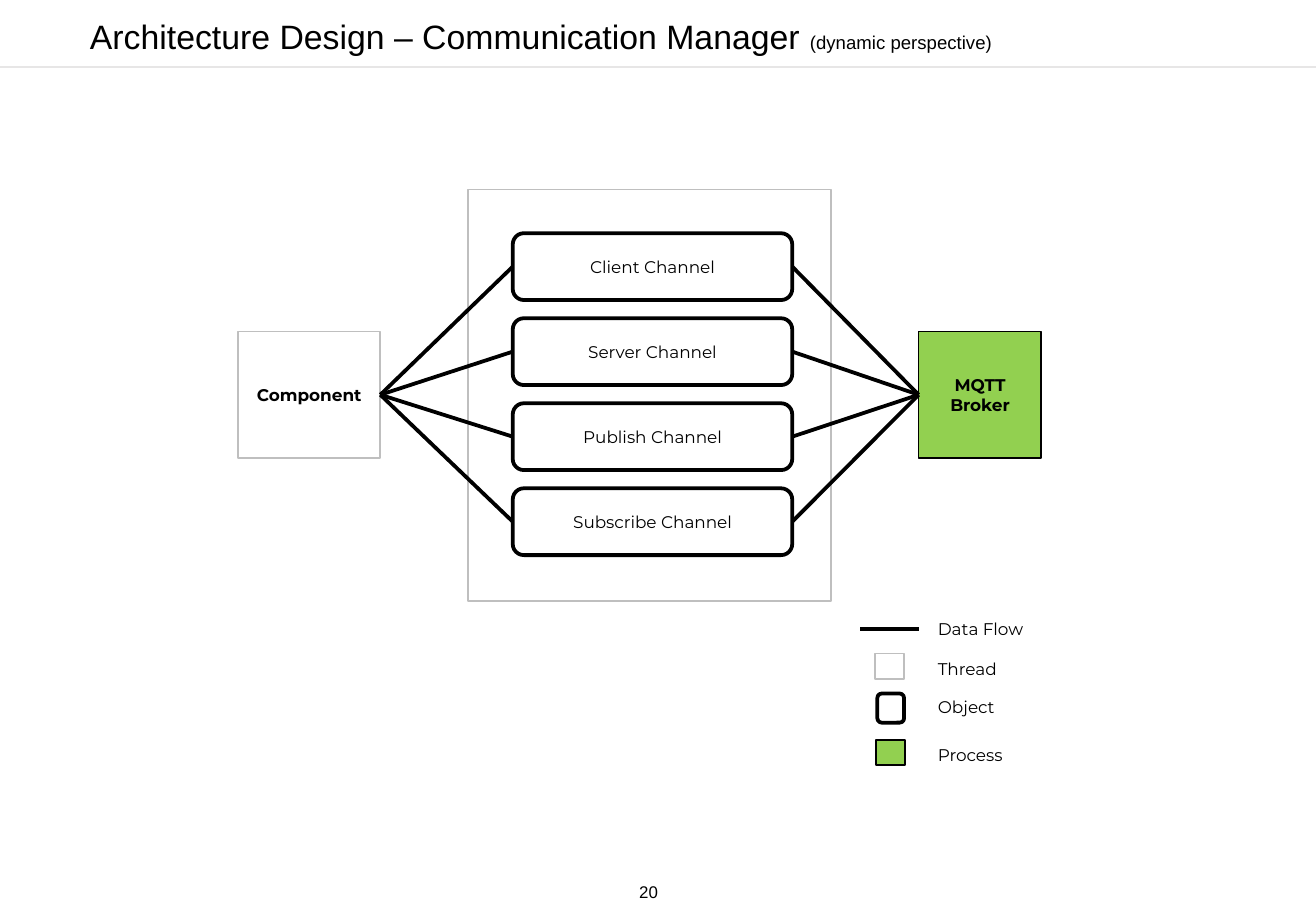
from dataclasses import dataclass

from lxml.etree import SubElement
from pptx import Presentation
from pptx.dml.color import RGBColor
from pptx.enum.shapes import MSO_CONNECTOR, MSO_SHAPE
from pptx.enum.text import MSO_ANCHOR, MSO_AUTO_SIZE, PP_ALIGN
from pptx.oxml.ns import qn
from pptx.shapes.autoshape import Shape
from pptx.shapes.connector import Connector
from pptx.slide import Slide
from pptx.text.text import TextFrame
from pptx.util import Inches, Pt

BLACK = RGBColor(0x00, 0x00, 0x00)
THREAD_GRAY = RGBColor(0xBF, 0xBF, 0xBF)
RULE_GRAY = RGBColor(0xE7, 0xE6, 0xE6)
PROCESS_GREEN = RGBColor(0x92, 0xD0, 0x50)
LEFT_SITE, RIGHT_SITE = 1, 3


@dataclass(frozen=True)
class Style:
    """Look of one kind of architecture element."""
    outline: RGBColor
    weight: float
    geometry: MSO_SHAPE = MSO_SHAPE.RECTANGLE
    fill: RGBColor | None = None


@dataclass(frozen=True)
class Box:
    """Position and size in inches."""
    left: float
    top: float
    width: float
    height: float

    def lengths(self) -> list[Inches]:
        """Give the four lengths in the order that python-pptx expects."""
        return [Inches(n) for n in (self.left, self.top, self.width, self.height)]


@dataclass(frozen=True)
class LegendEntry:
    """Legend caption with its box and, for shapes, its symbol."""
    caption: str
    place: Box
    symbol: Box | None = None
    style: Style | None = None


THREAD = Style(THREAD_GRAY, 1)
OBJECT = Style(BLACK, 2.25, MSO_SHAPE.ROUNDED_RECTANGLE)
PROCESS = Style(BLACK, 1, fill=PROCESS_GREEN)

CHANNELS = ["Client Channel", "Server Channel", "Publish Channel", "Subscribe Channel"]
CHANNEL_TOP, CHANNEL_PITCH = 1.92, 0.7
LEGEND = [
    LegendEntry("Data Flow", Box(7.62, 5.04, 0.97, 0.27)),
    LegendEntry("Thread", Box(7.62, 5.37, 0.74, 0.27), Box(7.2, 5.38, 0.24, 0.21), THREAD),
    LegendEntry("Object", Box(7.62, 5.69, 0.71, 0.27), Box(7.22, 5.71, 0.22, 0.24), OBJECT),
    LegendEntry("Process", Box(7.62, 6.08, 0.82, 0.27), Box(7.21, 6.09, 0.24, 0.21), PROCESS),
]


def write(frame: TextFrame, lines: list[list[tuple[str, float]]], font: str = "Montserrat",
          bold: bool = False, align: PP_ALIGN = PP_ALIGN.LEFT) -> None:
    """Write each line as a paragraph of sized runs."""
    for index, pieces in enumerate(lines):
        paragraph = frame.add_paragraph() if index else frame.paragraphs[0]
        paragraph.alignment = align
        for wording, size in pieces:
            run = paragraph.add_run()
            run.text = wording
            run.font.name = font
            run.font.size = Pt(size)
            run.font.bold = bold
            run.font.color.rgb = BLACK


def add_element(slide: Slide, box: Box, style: Style, lines: tuple[str, ...] = (),
                bold: bool = False) -> Shape:
    """Draw a thread, object or process with its centred label."""
    element = slide.shapes.add_shape(style.geometry, *box.lengths())
    element.shadow.inherit = False
    if style.fill is None:
        element.fill.background()
    else:
        element.fill.solid()
        element.fill.fore_color.rgb = style.fill
    element.line.color.rgb = style.outline
    element.line.width = Pt(style.weight)
    element.text_frame.vertical_anchor = MSO_ANCHOR.MIDDLE
    write(element.text_frame, [[(line, 10)] for line in lines], bold=bold, align=PP_ALIGN.CENTER)
    return element


def add_line(slide: Slide, start: tuple[float, float] = (0, 0), end: tuple[float, float] = (0, 0),
             color: RGBColor = BLACK, weight: float = 2.25) -> Connector:
    """Draw a straight line without a shadow."""
    line = slide.shapes.add_connector(
        MSO_CONNECTOR.STRAIGHT, *(Inches(n) for n in (*start, *end)))
    line.line.color.rgb = color
    line.line.width = Pt(weight)
    SubElement(line._element.spPr, qn("a:effectLst"))
    return line


def add_flow(slide: Slide, source: Shape, target: Shape) -> None:
    """Join the right side of the source to the left side of the target."""
    flow = add_line(slide)
    flow.begin_connect(source, RIGHT_SITE)
    flow.end_connect(target, LEFT_SITE)


def add_caption(slide: Slide, box: Box, wording: str, font: str = "Montserrat") -> TextFrame:
    """Add a one-line text box that fits its text."""
    frame = slide.shapes.add_textbox(*box.lengths()).text_frame
    frame.word_wrap = False
    frame.auto_size = MSO_AUTO_SIZE.SHAPE_TO_FIT_TEXT
    write(frame, [[(wording, 10)]], font)
    return frame


def add_header_and_number(slide: Slide) -> None:
    """Add the title, the rule below it and the page number."""
    add_line(slide, (0, 0.55), (10.83, 0.55), RULE_GRAY, 1)
    title = slide.shapes.add_textbox(*Box(0.14, 0.05, 10.47, 0.5).lengths()).text_frame
    title.word_wrap = True
    title.margin_left = Inches(0.6)
    title.margin_top = Inches(0.08)
    write(title, [[("Architecture Design – Communication Manager ", 20),
                   ("(dynamic perspective)", 11)]], "Arial")
    number = add_caption(slide, Box(5.22, 7.22, 0.25, 0.25), "20", "Arial")
    number.margin_left = number.margin_right = Inches(0.04)
    number.margin_top = number.margin_bottom = Inches(0.04)


def add_architecture(slide: Slide) -> None:
    """Draw the component, its channels and the broker with their data flows."""
    add_element(slide, Box(3.85, 1.56, 2.99, 3.39), THREAD)
    component = add_element(slide, Box(1.96, 2.73, 1.17, 1.04), THREAD, ("Component",), True)
    broker = add_element(slide, Box(7.56, 2.73, 1.01, 1.04), PROCESS, ("MQTT", "Broker"), True)
    for index, name in enumerate(CHANNELS):
        place = Box(4.22, CHANNEL_TOP + index * CHANNEL_PITCH, 2.3, 0.55)
        channel = add_element(slide, place, OBJECT, (name,))
        add_flow(slide, component, channel)
        add_flow(slide, channel, broker)


def add_legend(slide: Slide) -> None:
    """Explain the line and the three kinds of element."""
    add_line(slide, (7.08, 5.18), (7.56, 5.18))
    for entry in LEGEND:
        add_caption(slide, entry.place, entry.caption)
        if entry.symbol and entry.style:
            add_element(slide, entry.symbol, entry.style)


def main() -> None:
    """Build the slide and save it."""
    deck = Presentation()
    deck.slide_width = Inches(10.83)
    deck.slide_height = Inches(7.5)
    slide = deck.slides.add_slide(deck.slide_layouts[6])
    add_header_and_number(slide)
    add_architecture(slide)
    add_legend(slide)
    deck.save("out.pptx")


if __name__ == "__main__":
    main()
